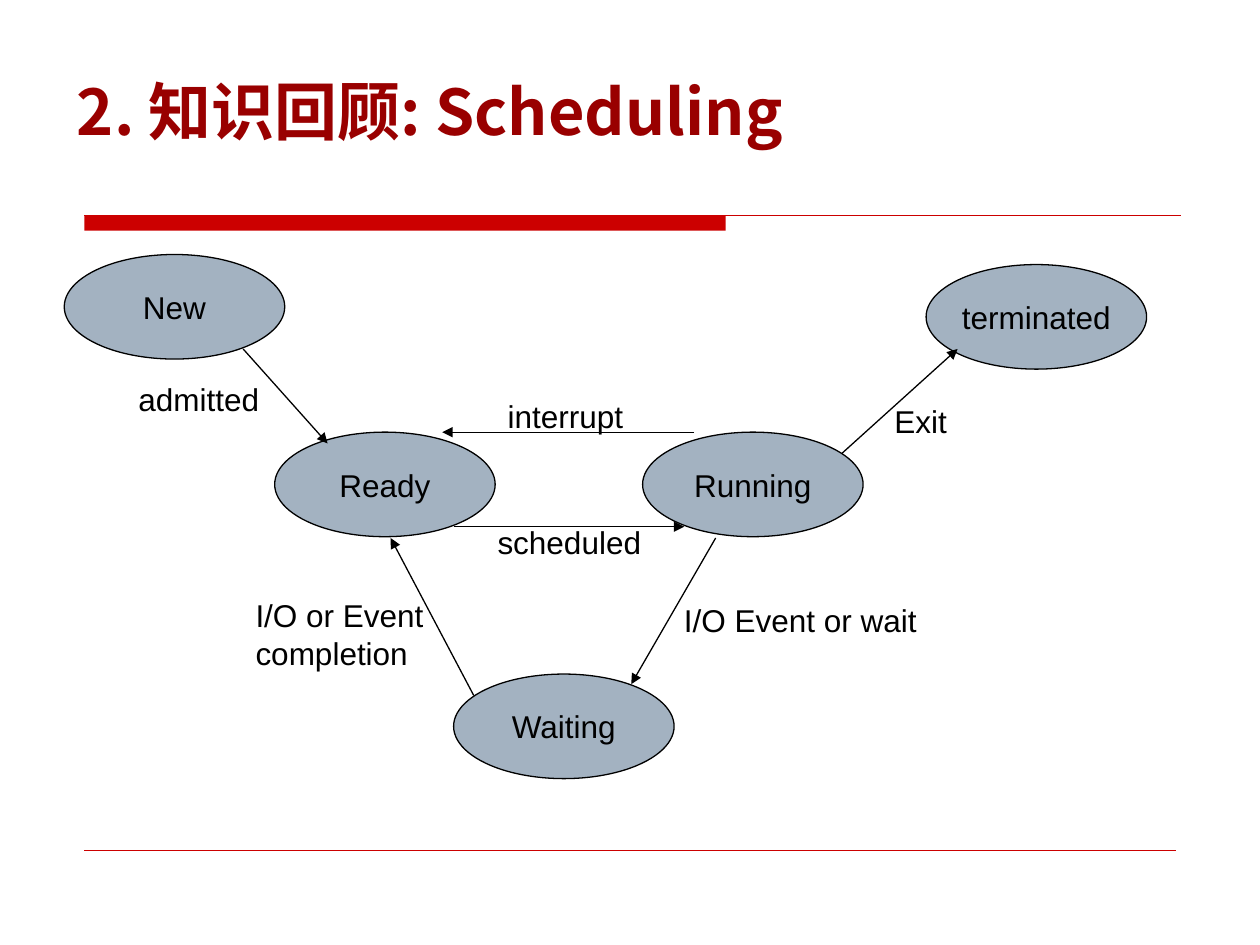
from dataclasses import dataclass

from lxml.etree import SubElement
from pptx import Presentation
from pptx.dml.color import RGBColor
from pptx.enum.shapes import MSO_CONNECTOR, MSO_SHAPE
from pptx.enum.text import MSO_ANCHOR, MSO_AUTO_SIZE, PP_ALIGN
from pptx.oxml.ns import qn
from pptx.util import Inches, Pt


@dataclass(frozen=True)
class Theme:
    title_font: str = "Noto Sans CJK SC"
    body_font: str = "Arial"
    title_size: Pt = Pt(36)
    body_size: Pt = Pt(18)
    title: RGBColor = RGBColor(0x99, 0x00, 0x00)
    accent: RGBColor = RGBColor(0xCC, 0x00, 0x00)
    state: RGBColor = RGBColor(0xA3, 0xB2, 0xC1)
    ink: RGBColor = RGBColor(0x00, 0x00, 0x00)


theme = Theme()


def add_body_run(paragraph, text):
    run = paragraph.add_run()
    run.text = text
    run.font.name = theme.body_font
    run.font.size = theme.body_size
    run.font.color.rgb = theme.ink


def add_line(start, end, color, width):
    connector = slide.shapes.add_connector(
        MSO_CONNECTOR.STRAIGHT, *map(Inches, start + end))
    connector.line.color.rgb = color
    connector.line.width = Pt(width)
    SubElement(connector._element.spPr, qn("a:effectLst"))
    return connector


presentation = Presentation()
presentation.slide_width = Inches(10)
presentation.slide_height = Inches(7.5)
slide = presentation.slides.add_slide(presentation.slide_layouts[5])

# Title rule: a thick bar that continues as a thin line
title_bar = slide.shapes.add_shape(
    MSO_SHAPE.RECTANGLE, Inches(0.67), Inches(1.71), Inches(5.09), Inches(0.12))
title_bar.shadow.inherit = False
title_bar.fill.solid()
title_bar.fill.fore_color.rgb = theme.accent
title_bar.line.fill.background()
add_line((0.67, 1.71), (9.37, 1.71), theme.accent, 0.75)

# Footer rule
add_line((0.67, 6.75), (9.33, 6.75), theme.accent, 0.25)

# Title
title = slide.shapes.title
title.left, title.top = Inches(0.51), Inches(0.21)
title.width, title.height = Inches(8.75), Inches(1.33)
title.text_frame.auto_size = MSO_AUTO_SIZE.NONE
title.text_frame.vertical_anchor = MSO_ANCHOR.MIDDLE
paragraph = title.text_frame.paragraphs[0]
paragraph.alignment = PP_ALIGN.LEFT
run = paragraph.add_run()
run.text = "2. 知识回顾: Scheduling"
run.font.name = theme.title_font
run.font.size = theme.title_size
run.font.bold = True
run.font.color.rgb = theme.title
SubElement(run.font._element, qn("a:ea"), typeface=theme.title_font)

# Process states: name, left, top
states = [
    ("Ready", 2.18, 3.43),
    ("Running", 5.1, 3.43),
    ("terminated", 7.35, 2.1),
    ("New", 0.51, 2.02),
    ("Waiting", 3.6, 5.35),
]
for name, left, top in states:
    state = slide.shapes.add_shape(
        MSO_SHAPE.OVAL, Inches(left), Inches(top), Inches(1.75), Inches(0.83))
    state.shadow.inherit = False
    state.fill.solid()
    state.fill.fore_color.rgb = theme.state
    state.line.color.rgb = theme.ink
    state.line.width = Pt(0.75)
    state.text_frame.word_wrap = False
    state.text_frame.vertical_anchor = MSO_ANCHOR.MIDDLE
    paragraph = state.text_frame.paragraphs[0]
    paragraph.alignment = PP_ALIGN.CENTER
    add_body_run(paragraph, name)

# Transitions: arrow start, arrow end, label lines, label left, top, width, height
transitions = [
    ((1.93, 2.77), (2.6, 3.52), ["admitted"], 1, 2.97, 1.2, 0.4),
    ((3.6, 4.18), (5.43, 4.18), ["scheduled"], 3.85, 4.1, 1.38, 0.4),
    ((5.68, 4.27), (5.01, 5.43), ["I/O Event or wait"], 5.33, 4.72, 2.09, 0.4),
    ((3.76, 5.52), (3.1, 4.27), ["I/O or Event", "completion"], 1.93, 4.68, 1.64, 0.7),
    ((5.51, 3.43), (3.51, 3.43), ["interrupt"], 3.93, 3.1, 1.15, 0.4),
    ((6.68, 3.6), (7.6, 2.77), ["Exit"], 7, 3.14, 0.65, 0.4),
]
for start, end, lines, *box in transitions:
    arrow = add_line(start, end, theme.ink, 0.75)
    SubElement(arrow.line._get_or_add_ln(), qn("a:tailEnd"), type="triangle")

    label = slide.shapes.add_textbox(*map(Inches, box))
    text_frame = label.text_frame
    text_frame.word_wrap = False
    text_frame.auto_size = MSO_AUTO_SIZE.NONE
    for index, text in enumerate(lines):
        paragraph = text_frame.add_paragraph() if index else text_frame.paragraphs[0]
        paragraph.alignment = PP_ALIGN.LEFT
        add_body_run(paragraph, text)

presentation.save("out.pptx")
